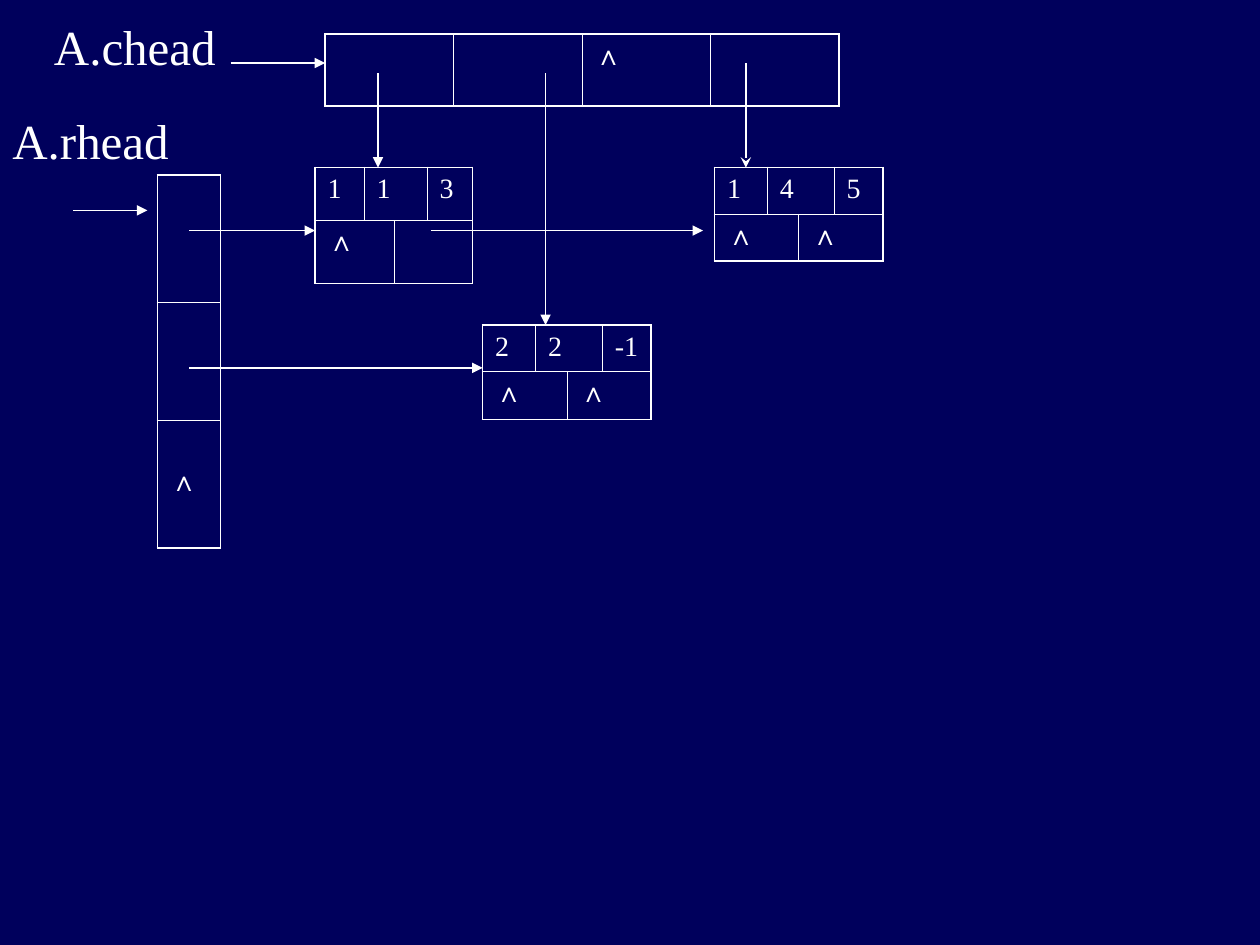
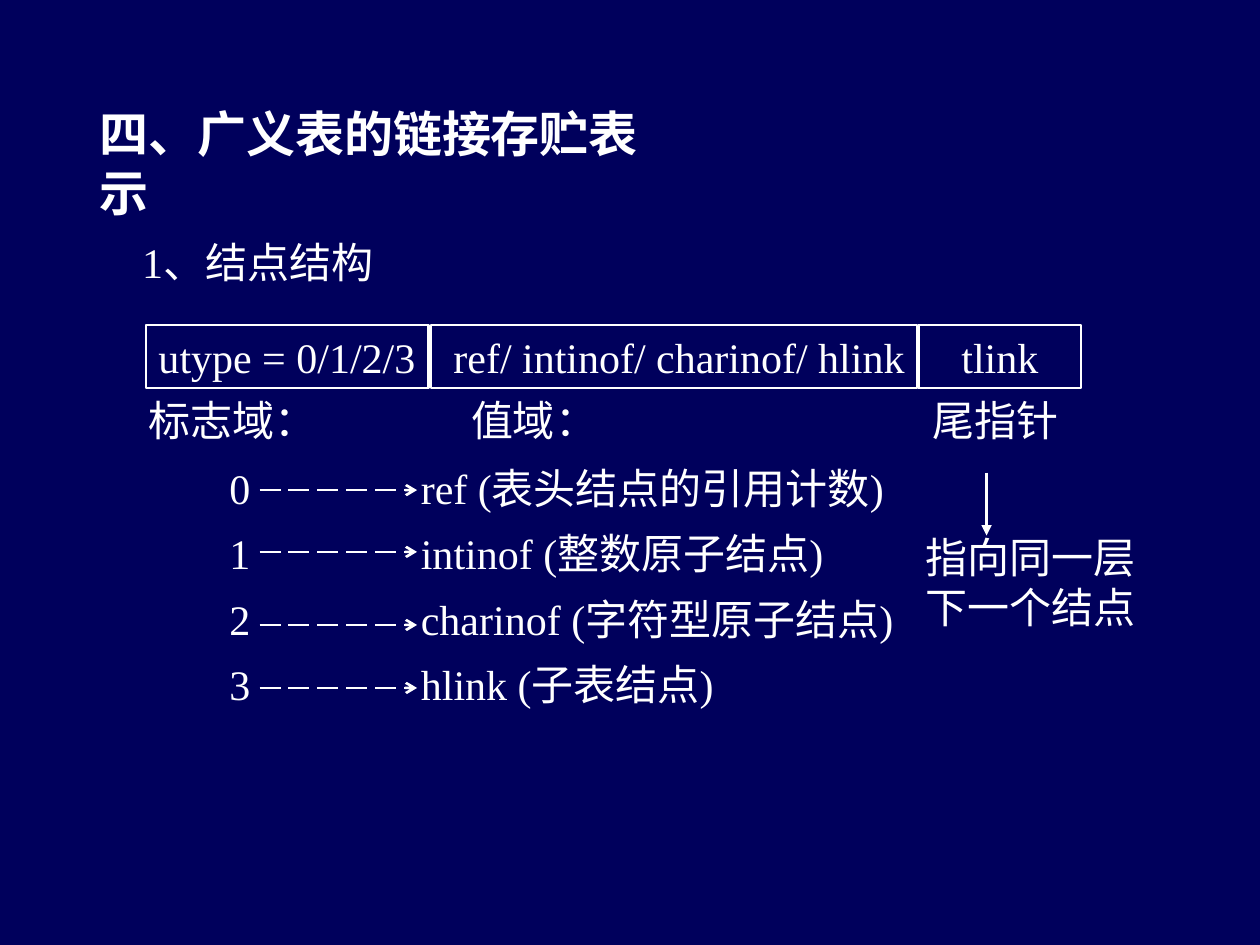
from lxml.etree import SubElement as Sub, Element
from pptx import Presentation
from pptx.dml.color import RGBColor as RGB
from pptx.enum.dml import MSO_LINE_DASH_STYLE as Dash
from pptx.enum.shapes import MSO_CONNECTOR as Conn, MSO_SHAPE as Shape
from pptx.enum.text import MSO_ANCHOR as Anchor, MSO_AUTO_SIZE as Auto, PP_ALIGN as Align
from pptx.oxml.ns import qn
from pptx.util import Inches, Pt

COLORS = {"back": "00005C", "ink": "FFFFFF"}
FONT = "Times New Roman"
THICK, THIN = 1.08, 0.45
PLAIN = "{2D5ABB26-0587-4C30-8999-92F81FD0307C}"


def write(frame, text, size=24, bold=False, align=Align.LEFT, space=None, bare=False):
    for i, line in enumerate(text.split("\n")):
        par = frame.add_paragraph() if i else frame.paragraphs[0]
        if bare:
            props = par._p.get_or_add_pPr()
            props.set("marL", "0")
            props.set("indent", "0")
            Sub(props, qn("a:buNone"))
            par.space_before = Pt(0)
        par.alignment = align
        if space:
            par.line_spacing = space
        run = par.add_run()
        run.text = line
        run.font.name = FONT
        run.font.size = Pt(size)
        run.font.bold = bold
        run.font.color.rgb = RGB.from_string(COLORS["ink"])


def edge(cell, sides):
    props = cell._tc.get_or_add_tcPr()
    for i, (name, width) in enumerate(zip(("lnL", "lnR", "lnT", "lnB"), sides)):
        line = Element(qn(f"a:{name}"), w=str(Pt(width)))
        fill = Sub(line, qn("a:solidFill"))
        Sub(fill, qn("a:srgbClr"), val=COLORS["ink"])
        props.insert(i, line)


class Deck:
    def __init__(self):
        self.prs = Presentation()
        self.prs.slide_width = Inches(10)
        self.prs.slide_height = Inches(7.5)
        fill = self.prs.slide_master.background.fill
        fill.solid()
        fill.fore_color.rgb = RGB.from_string(COLORS["back"])
        self.slide = None

    def page(self, layout):
        self.slide = self.prs.slides.add_slide(self.prs.slide_layouts[layout])

    def holder(self, idx, text, box, **style):
        item = self.slide.placeholders[idx]
        item.left, item.top, item.width, item.height = map(Inches, box)
        frame = item.text_frame
        frame.word_wrap = False
        frame.auto_size = Auto.NONE
        frame.vertical_anchor = Anchor.TOP
        write(frame, text, bare=True, **style)

    def label(self, text, box, wrap=False, **style):
        frame = self.slide.shapes.add_textbox(*map(Inches, box)).text_frame
        frame.word_wrap = wrap
        write(frame, text, **style)

    def field(self, text, box, **style):
        rect = self.slide.shapes.add_shape(Shape.RECTANGLE, *map(Inches, box))
        rect.shadow.inherit = False
        rect.fill.background()
        rect.line.color.rgb = RGB.from_string(COLORS["ink"])
        rect.line.width = Pt(1.5)
        rect.text_frame.word_wrap = True
        rect.text_frame.vertical_anchor = Anchor.TOP
        write(rect.text_frame, text, **style)

    def arrow(self, start, end, width=0.75, head="triangle", dash=None):
        link = self.slide.shapes.add_connector(
            Conn.STRAIGHT, *map(Inches, (*start, *end)))
        link.line.color.rgb = RGB.from_string(COLORS["ink"])
        link.line.width = Pt(width)
        if dash:
            link.line.dash_style = dash
        Sub(link.line._get_or_add_ln(), qn("a:tailEnd"), type=head)
        Sub(link._element.spPr, qn("a:effectLst"))

    def grid(self, spot, cols, rows, texts, spans=()):
        size = sum(cols), sum(rows)
        table = self.slide.shapes.add_table(
            len(rows), len(cols), *map(Inches, (*spot, *size))).table
        table._tbl.tblPr[0].text = PLAIN
        table.first_row = table.horz_banding = False
        for col, width in zip(table.columns, cols):
            col.width = Inches(width)
        for row, height in zip(table.rows, rows):
            row.height = Inches(height)
        for row, col in spans:
            table.cell(row, col).merge(table.cell(row, col + 1))
        for r in range(len(rows)):
            for c in range(len(cols)):
                cell = table.cell(r, c)
                cell.fill.background()
                if cell.is_spanned:
                    continue
                last = c + (cell.span_width if cell.is_merge_origin else 1)
                outer = c == 0, last == len(cols), r == 0, r == len(rows) - 1
                edge(cell, [THICK if out else THIN for out in outer])
                text = texts.get((r, c))
                if text:
                    write(cell.text_frame, text, size=16)
        return table

    def node(self, spot, cols, rows, data, links):
        texts = dict(zip([(0, 0), (0, 1), (0, 3), (1, 0), (1, 2)], [*data, *links]))
        self.grid(spot, cols, rows, texts, [(0, 1), (1, 0), (1, 2)])


def cross(deck):
    deck.page(6)
    wide = 0.42, 0.25, 0.28, 0.39
    deck.node((5.67, 1.33), wide, (0.37, 0.37), "145", "∧∧")
    deck.node((2.5, 1.33), (0.39, 0.24, 0.26, 0.36), (0.42, 0.5), "113", "∧")
    heads = deck.grid((1.25, 1.39), [0.5], (1.01, 0.94, 1.01), {(2, 0): "∧"})
    heads.cell(2, 0).margin_top = Inches(0.36)
    deck.node((3.83, 2.58), wide, (0.37, 0.38), ("2", "2", "-1"), "∧∧")
    deck.grid((2.58, 0.27), [1.02] * 4, [0.57], {(0, 2): "∧"})

    deck.arrow((5.92, 0.5), (5.92, 1.33), head="stealth")
    for start, end in (
        ((4.33, 0.58), (4.33, 2.58)),
        ((1.5, 1.83), (2.5, 1.83)),
        ((3.42, 1.83), (5.58, 1.83)),
        ((1.5, 2.92), (3.83, 2.92)),
        ((1.83, 0.5), (2.58, 0.5)),
        ((0.58, 1.67), (1.17, 1.67)),
        ((3, 0.58), (3, 1.33)),
    ):
        deck.arrow(start, end)
    deck.label("A.rhead", (0, 0.83, 1.58, 0.57), wrap=True, size=28)
    deck.label("A.chead", (0.33, 0.08, 1.58, 0.57), wrap=True, size=28)


def lists(deck):
    deck.page(3)
    deck.holder(0, "四、广义表的链接存贮表示", (0.69, 0.77, 4.86, 0.57),
                size=28, bold=True)
    deck.label("1、结点结构", (1.03, 1.83, 2.11, 0.5))

    for text, left, width, align in (
        ("utype = 0/1/2/3", 1.16, 2.24, Align.LEFT),
        ("ref/ intinof/ charinof/ hlink", 3.42, 3.86, Align.RIGHT),
        ("tlink", 7.29, 1.29, Align.CENTER),
    ):
        deck.field(text, (left, 2.58, width, 0.5), align=align)
    for text, left, width in (
        ("标志域：", 1.08, 1.53), ("值域：", 3.64, 1.2), ("尾指针", 7.3, 1.2),
    ):
        deck.label(text, (left, 3.08, width, 0.5))

    kinds = ("ref (表头结点的引用计数)", "intinof (整数原子结点)",
             "charinof (字符型原子结点)", "hlink (子表结点)")
    deck.holder(1, "\n".join("0123"), (1.72, 3.5, 0.36, 2.18), space=1.3)
    deck.holder(2, "\n".join(kinds), (3.24, 3.5, 4.11, 2.18), space=1.3)
    for y in (3.89, 4.38, 4.96, 5.46):
        deck.arrow((2.06, y), (3.31, y), width=1.5, head="arrow", dash=Dash.LONG_DASH)

    deck.label("指向同一层下一个结点", (7.25, 4.17, 2.08, 0.9), wrap=True)
    deck.arrow((7.83, 3.75), (7.83, 4.25), width=1.5)


def main():
    deck = Deck()
    cross(deck)
    lists(deck)
    deck.prs.save("out.pptx")


if __name__ == "__main__":
    main()
